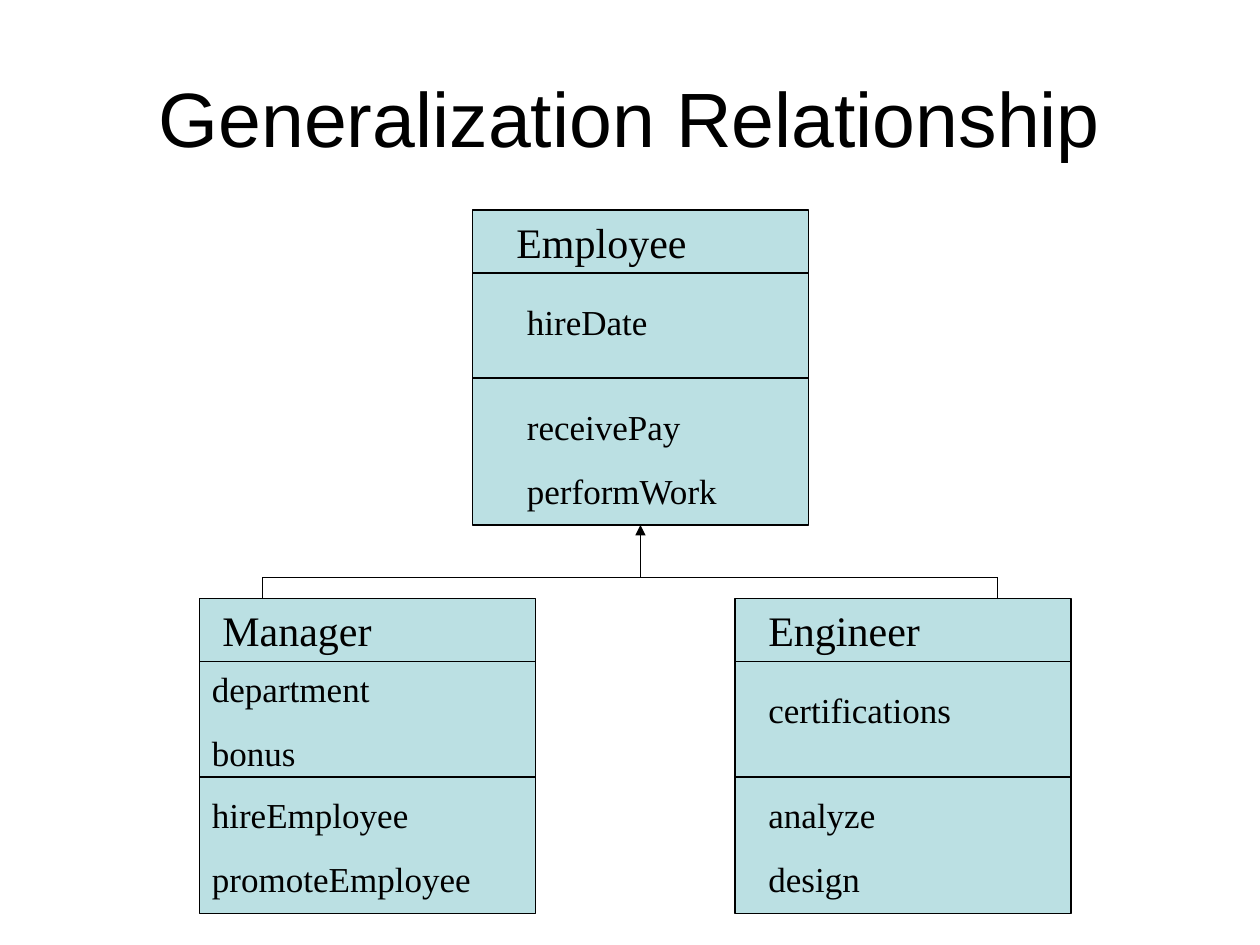
"""Builds a class diagram slide showing a generalization relationship."""
from dataclasses import dataclass

from lxml.etree import SubElement
from pptx import Presentation
from pptx.dml.color import RGBColor as RGB
from pptx.enum.shapes import MSO_CONNECTOR as CONN, MSO_SHAPE as SHAPE
from pptx.enum.text import MSO_ANCHOR as ANCHOR, MSO_AUTO_SIZE as AUTO, PP_ALIGN as ALIGN
from pptx.oxml.ns import qn
from pptx.util import Inches, Pt


@dataclass
class Theme:
    ink: RGB = RGB(0, 0, 0)
    box: RGB = RGB(0xBB, 0xE0, 0xE3)
    line: float = 0.74
    title: tuple = ("Arial", 44)
    name: tuple = ("Times New Roman", 24)
    member: tuple = ("Times New Roman", 20)


theme = Theme()
prs = Presentation()
prs.slide_width, prs.slide_height = Inches(10), Inches(7.5)
s = prs.slides.add_slide(prs.slide_layouts[6])
COLS, BOX_W, BOX_H, NAME_H = 120, 32, 30, 6
CELL = prs.slide_width / COLS


def add_text(lines, at, style, before=0, align=ALIGN.LEFT, **frame):
    """Adds a text box placed in grid cells, one paragraph per line."""
    tf = s.shapes.add_textbox(*(round(v * CELL) for v in at)).text_frame
    for key, value in {"word_wrap": True, **frame}.items():
        setattr(tf, key, value)
    for i, line in enumerate(lines):
        p = tf.add_paragraph() if i else tf.paragraphs[0]
        p.alignment, p.space_before = align, Pt(before)
        r = p.add_run()
        r.text = line
        font = {"name": style[0], "size": Pt(style[1])}
        for key, value in font.items():
            setattr(r.font, key, value)
        r.font.color.rgb = theme.ink


def add_line(*ends, arrow=False):
    """Adds a straight line between two grid points."""
    c = s.shapes.add_connector(CONN.STRAIGHT, *(round(v * CELL) for v in ends))
    c.line.color.rgb, c.line.width = theme.ink, Pt(theme.line)
    if arrow:
        SubElement(c.line._get_or_add_ln(), qn("a:tailEnd"), type="triangle")
    SubElement(c._element.spPr, qn("a:effectLst"))


add_text(["Generalization Relationship"], (6, 3.6, 108, 15), theme.title,
         align=ALIGN.CENTER, vertical_anchor=ANCHOR.MIDDLE)

classes = [
    (45, 20, 16, [
        (3, 0, 24, ["Employee"]),
        (4, 8, 20, ["hireDate"]),
        (4, 18, 24, ["receivePay", "performWork"])]),
    (19, 57, 17, [
        (1, 0, 29, ["Manager"]),
        (0, 6, 32, ["department", "bonus"]),
        (0, 18, 30, ["hireEmployee", "promoteEmployee"])]),
    (70, 57, 17, [
        (2, 0, 24, ["Engineer"]),
        (2, 8, 29, ["certifications"]),
        (2, 18, 27, ["analyze", "design"])]),
]
for left, top, divider, sections in classes:
    sp = s.shapes.add_shape(SHAPE.RECTANGLE, *(round(v * CELL) for v in (left, top, BOX_W, BOX_H)))
    sp.shadow.inherit = False
    sp.fill.solid()
    sp.fill.fore_color.rgb = theme.box
    sp.line.color.rgb, sp.line.width = theme.ink, Pt(theme.line)
    for dy in (NAME_H, divider):
        add_line(left, top + dy, left + BOX_W, top + dy)
    for i, (dx, dy, width, lines) in enumerate(sections):
        style = theme.member if i else theme.name
        add_text(lines, (left + dx, top + dy, width, 6 * len(lines)), style,
                 before=style[1] * 5 / 8, auto_size=AUTO.SHAPE_TO_FIT_TEXT)

MANAGER_X, EMPLOYEE_X, ENGINEER_X, BUS_Y = 25, 61, 95, 55
for x in (MANAGER_X, ENGINEER_X):
    add_line(x, 57, x, BUS_Y)
add_line(MANAGER_X, BUS_Y, ENGINEER_X, BUS_Y)
add_line(EMPLOYEE_X, BUS_Y, EMPLOYEE_X, 50, arrow=True)

prs.save("out.pptx")
